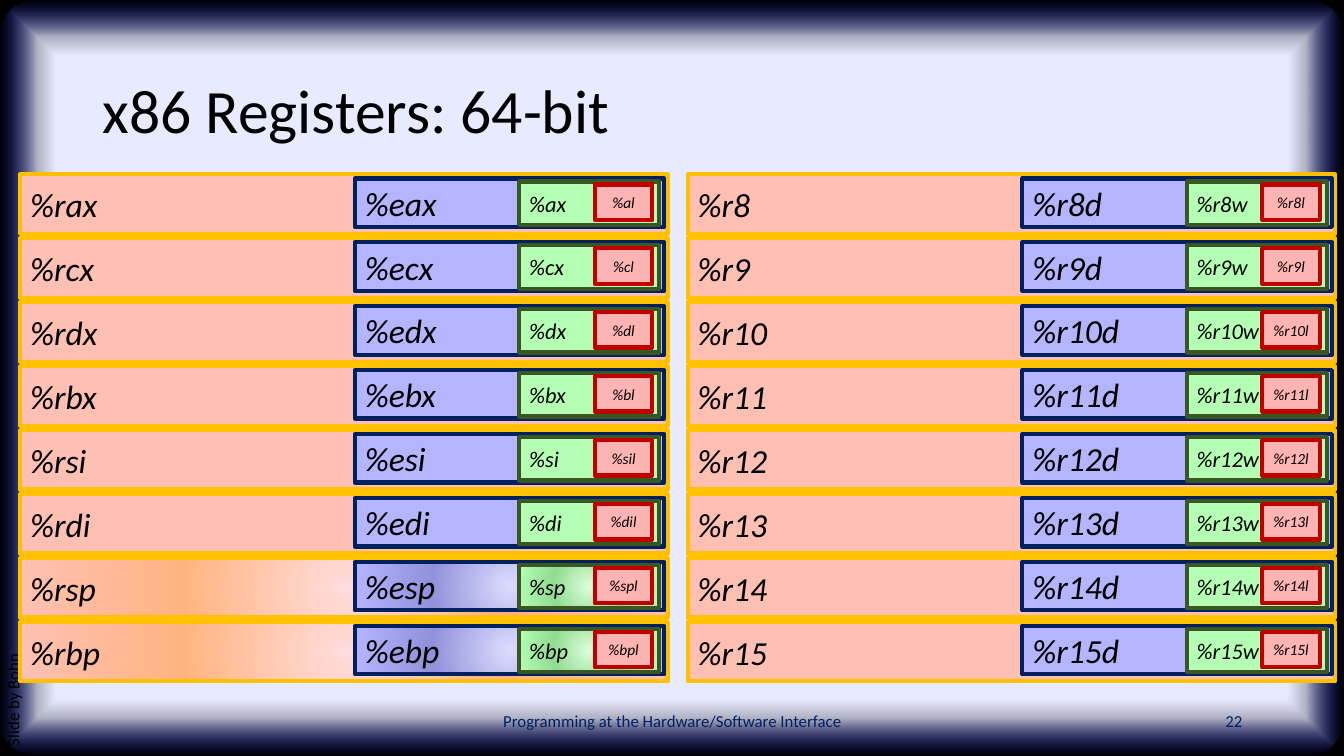
from pptx import Presentation
from pptx.dml.color import RGBColor
from pptx.enum.shapes import MSO_SHAPE
from pptx.enum.text import MSO_ANCHOR, PP_ALIGN
from pptx.oxml import parse_xml
from pptx.oxml.ns import nsdecls, qn
from pptx.util import Inches, Pt

# Content
TITLE = "x86 Registers: 64-bit"
FOOTER = "Programming at the Hardware/Software Interface"
NUMBER = "22"
CREDIT = "Slide by Bohn"
OLD = [
    ("%rax", "%eax", "%ax", "%al"),
    ("%rcx", "%ecx", "%cx", "%cl"),
    ("%rdx", "%edx", "%dx", "%dl"),
    ("%rbx", "%ebx", "%bx", "%bl"),
    ("%rsi", "%esi", "%si", "%sil"),
    ("%rdi", "%edi", "%di", "%dil"),
    ("%rsp", "%esp", "%sp", "%spl"),
    ("%rbp", "%ebp", "%bp", "%bpl"),
]
NEW = [tuple(f"%r{n}{end}" for end in ("", "d", "w", "l")) for n in range(8, 16)]
STACK = ("%rsp", "%rbp")

# Colours and font
FONT = "Calibri"
BLACK = RGBColor(0x00, 0x00, 0x00)
NAVY = RGBColor(0x00, 0x20, 0x60)
GOLD = RGBColor(0xFF, 0xC0, 0x00)
GREEN = RGBColor(0x38, 0x57, 0x23)
RED = RGBColor(0xC0, 0x00, 0x00)
PEACH = RGBColor(0xFF, 0xC0, 0xB4)
LILAC = RGBColor(0xB4, 0xB4, 0xFF)
MINT = RGBColor(0xB4, 0xFF, 0xB4)
ROSE = RGBColor(0xFF, 0xB4, 0xB4)
PALE = RGBColor(0xE8, 0xEA, 0xFF)
BLUE = RGBColor(0x16, 0x2A, 0xFF)
ORANGE = RGBColor(0xFF, 0xB4, 0x80)
BLUSH = RGBColor(0xFF, 0xDC, 0xDC)
IRIS = RGBColor(0x92, 0x92, 0xDB)
MIST = RGBColor(0xDC, 0xDC, 0xFF)
LEAF = RGBColor(0x93, 0xDC, 0x93)
FOAM = RGBColor(0xDC, 0xFF, 0xDC)

# Nested parts: left, top, width, height, fill, line, size, glow colours
PARTS = [
    (0.2, 1.73, 6.42, 0.59, PEACH, GOLD, 24, (BLUSH, ORANGE)),
    (3.52, 1.77, 3.07, 0.48, LILAC, NAVY, 24, (MIST, IRIS)),
    (5.15, 1.8, 1.39, 0.43, MINT, GREEN, 16, (FOAM, LEAF)),
    (5.9, 1.83, 0.57, 0.35, ROSE, RED, 11, None),
]
ROW = (6.17 - 1.73) / 7
COLUMN = 6.62


def blend(shape, kind, stops):
    """Fill a shape with a gradient from its centre; stops are (place, colour, alpha)."""
    marks = "".join(
        f'<a:gs pos="{place * 1000}"><a:srgbClr val="{color}">'
        f'<a:alpha val="{alpha * 1000}"/></a:srgbClr></a:gs>'
        for place, color, alpha in stops)
    shape.fill.background()
    props = shape._element.spPr
    props.replace(props.find(qn("a:noFill")), parse_xml(
        f'<a:gradFill {nsdecls("a")} rotWithShape="1"><a:gsLst>{marks}</a:gsLst>'
        f'<a:path path="{kind}"><a:fillToRect l="50000" t="50000" r="50000" b="50000"/>'
        '</a:path></a:gradFill>'))


def block(home, form, left, top, width, height, fill):
    shape = home.add_shape(form, Inches(left), Inches(top), Inches(width), Inches(height))
    shape.shadow.inherit = False
    shape.fill.solid()
    shape.fill.fore_color.rgb = fill
    shape.line.fill.background()
    return shape


def write(shape, text, size, color=BLACK, align=PP_ALIGN.LEFT,
          anchor=MSO_ANCHOR.MIDDLE, italic=False):
    frame = shape.text_frame
    frame.text = text
    frame.word_wrap = True
    frame.vertical_anchor = anchor
    line = frame.paragraphs[0]
    line.alignment = align
    font = line.runs[0].font
    font.name, font.size, font.italic = FONT, Pt(size), italic
    font.color.rgb = color
    return line


def label(left, top, width, height, *args, **style):
    box = slide.shapes.add_textbox(Inches(left), Inches(top), Inches(width), Inches(height))
    return box, write(box, *args, **style)


deck = Presentation()
deck.slide_width, deck.slide_height = Inches(13.33), Inches(7.5)
slide = deck.slides.add_slide(deck.slide_layouts[6])

# Background
block(slide.shapes, MSO_SHAPE.RECTANGLE, 0, 0, 13.33, 7.5, BLACK)
panel = block(slide.shapes, MSO_SHAPE.ROUNDED_RECTANGLE, 0, 0, 13.33, 7.5, PALE)
panel.adjustments[0] = 0.05
blend(panel, "shape", [(85, PALE, 100), (90, PALE, 75), (100, BLUE, 0)])

# Title, footer and credit
_, line = label(0.92, 0.4, 11.5, 1.45, TITLE, 44)
line.line_spacing = 0.9
label(4.42, 6.95, 4.5, 0.4, FOOTER, 12, NAVY, PP_ALIGN.CENTER)
label(9.42, 6.95, 3, 0.4, NUMBER, 12, NAVY, PP_ALIGN.RIGHT)
box, line = label(-2.44, 4.66, 5.28, 0.4, CREDIT, 12, anchor=MSO_ANCHOR.TOP)
box.rotation = 270
line.line_spacing = 0.9

# Registers, one group each
for col, names in enumerate((OLD, NEW)):
    for row, reg in enumerate(names):
        group = slide.shapes.add_group_shape()
        for name, part in zip(reg, PARTS):
            left, top, width, height, fill, edge, size, glow = part
            cell = block(group.shapes, MSO_SHAPE.RECTANGLE, left + col * COLUMN,
                         top + row * ROW, width, height, fill)
            cell.line.color.rgb = edge
            cell.line.width = Pt(3)
            if glow and reg[0] in STACK:
                core, ring = glow
                blend(cell, "circle", [(0, core, 100), (50, ring, 100), (100, fill, 100)])
            low = name == reg[-1]
            write(cell, name, size, align=PP_ALIGN.CENTER if low else PP_ALIGN.LEFT,
                  italic=True)
            if low:
                cell.text_frame.margin_left = cell.text_frame.margin_right = Inches(0.05)

deck.save("out.pptx")
